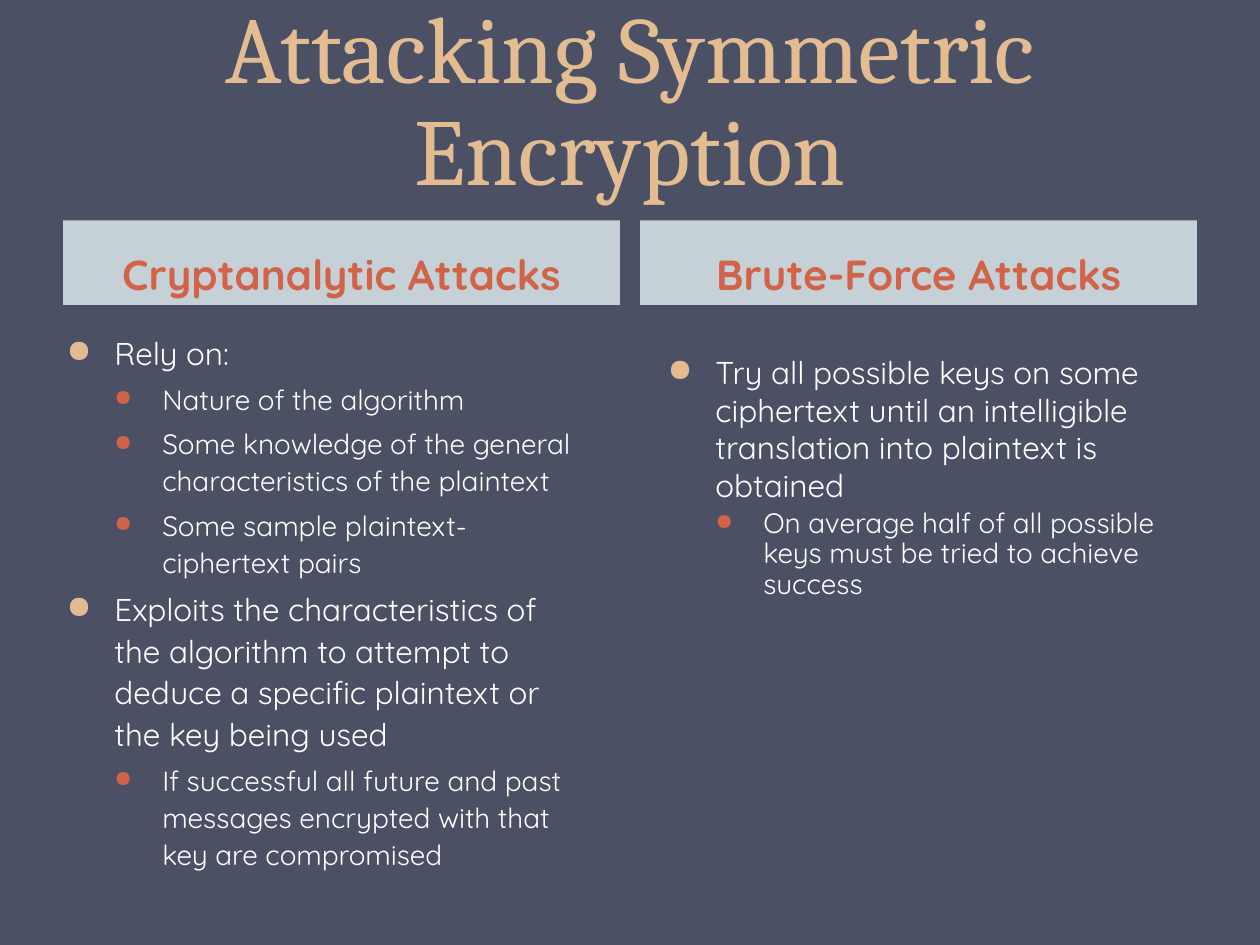
import pptx
import pptx.util
import pptx.dml.color
import pptx.enum.shapes
import pptx.enum.text
import pptx.oxml.ns
from lxml import etree

Inches, Pt = pptx.util.Inches, pptx.util.Pt
ALIGN = pptx.enum.text.PP_ALIGN
ANCHOR = pptx.enum.text.MSO_ANCHOR

HEADLINE = "Attacking Symmetric Encryption"
ATTACKS = [
    {
        "heading": "Cryptanalytic Attacks",
        "offset": (-0.07, 0.15),
        "spacing": {1: (1.1, 4.3), 2: (1.1, 4.3)},
        "points": [
            (1, "Rely on:"),
            (2, "Nature of the algorithm"),
            (2, "Some knowledge of the general characteristics of the plaintext"),
            (2, "Some sample plaintext-ciphertext pairs"),
            (1, "Exploits the characteristics of the algorithm to attempt to deduce "
                "a specific plaintext or the key being used"),
            (2, "If successful all future and past messages encrypted with that key "
                "are compromised"),
        ],
    },
    {
        "heading": "Brute-Force Attacks",
        "offset": (0.12, 0.33),
        "spacing": {1: (1.0, 3.6), 2: (0.9, 3.2)},
        "points": [
            (1, "Try all possible keys on some ciphertext until an intelligible "
                "translation into plaintext is obtained"),
            (2, "On average half of all possible keys must be tried to achieve success"),
        ],
    },
]

THEME = {
    "background": "4B5064", "sand": "E3BC92", "band": "C5D1D7",
    "rust": "D16349", "white": "FFFFFF",
    "title_font": "Cambria", "body_font": "Quicksand",
    "title_size": 54, "title_pitch": 58, "heading_size": 24,
    "point_size": {1: 18, 2: 16},
    "bullet": {1: ("sand", 100), 2: ("rust", 80)},
}

WIDTH, HEIGHT = 10, 7.5
MARGIN, GUTTER = 0.5, 0.16
COLUMN = (WIDTH - 2 * MARGIN - GUTTER) / 2
TITLE_HEIGHT = 1.67
BAND_TOP, BAND_HEIGHT = 1.75, 0.67
POINTS_WIDTH, POINTS_HEIGHT = 4.3, 4.75
INDENT = 0.38


def color(name):
    return pptx.dml.color.RGBColor.from_string(THEME[name])


def style(paragraph, font, size, ink, bold=False):
    for run in paragraph.runs:
        run.font.name = THEME[font]
        run.font.size = Pt(size)
        run.font.bold = bold
        run.font.color.rgb = color(ink)


def add_bullet(paragraph, level):
    ink, percent = THEME["bullet"][level]
    props = paragraph._p.get_or_add_pPr()
    props.set("marL", str(Inches(INDENT * level)))
    props.set("indent", str(-Inches(INDENT)))

    def add(parent, tag, **attributes):
        return etree.SubElement(parent, pptx.oxml.ns.qn(tag), **attributes)

    add(add(props, "a:buClr"), "a:srgbClr", val=THEME[ink])
    add(props, "a:buSzPct", val=str(percent * 1000))
    add(props, "a:buChar", char="●")


def add_text_box(slide, left, top, width, height):
    box = slide.shapes.add_textbox(*map(Inches, (left, top, width, height)))
    box.text_frame.word_wrap = True
    return box.text_frame


def add_headline(slide):
    frame = add_text_box(slide, MARGIN, 0, WIDTH - 2 * MARGIN, TITLE_HEIGHT)
    frame.vertical_anchor = ANCHOR.BOTTOM
    frame.text = HEADLINE
    headline = frame.paragraphs[0]
    headline.alignment = ALIGN.CENTER
    headline.line_spacing = Pt(THEME["title_pitch"])
    style(headline, "title_font", THEME["title_size"], "sand")


def add_heading(slide, left, wording):
    band = slide.shapes.add_shape(
        pptx.enum.shapes.MSO_SHAPE.RECTANGLE,
        *map(Inches, (left, BAND_TOP, COLUMN, BAND_HEIGHT)))
    band.shadow.inherit = False
    band.fill.solid()
    band.fill.fore_color.rgb = color("band")
    band.line.fill.background()
    frame = band.text_frame
    frame.word_wrap = True
    frame.vertical_anchor = ANCHOR.BOTTOM
    frame.text = wording
    heading = frame.paragraphs[0]
    heading.alignment = ALIGN.CENTER
    heading.space_before = Pt(THEME["heading_size"] * 0.2)
    style(heading, "body_font", THEME["heading_size"], "rust", bold=True)


def add_points(slide, left, top, attack):
    frame = add_text_box(slide, left, top, POINTS_WIDTH, POINTS_HEIGHT)
    frame.text = "\n".join(wording for _, wording in attack["points"])
    for point, (level, _) in zip(frame.paragraphs, attack["points"]):
        line_spacing, space_before = attack["spacing"][level]
        point.level = level - 1
        point.line_spacing = line_spacing
        point.space_before = Pt(space_before)
        add_bullet(point, level)
        style(point, "body_font", THEME["point_size"][level], "white")


def main():
    deck = pptx.Presentation()
    deck.slide_width, deck.slide_height = Inches(WIDTH), Inches(HEIGHT)
    slide = deck.slides.add_slide(deck.slide_layouts[6])
    slide.background.fill.solid()
    slide.background.fill.fore_color.rgb = color("background")

    add_headline(slide)
    for column, attack in enumerate(ATTACKS):
        left = MARGIN + column * (COLUMN + GUTTER)
        shift, drop = attack["offset"]
        add_heading(slide, left, attack["heading"])
        add_points(slide, left + shift, BAND_TOP + BAND_HEIGHT + drop, attack)
    deck.save("out.pptx")


if __name__ == "__main__":
    main()
